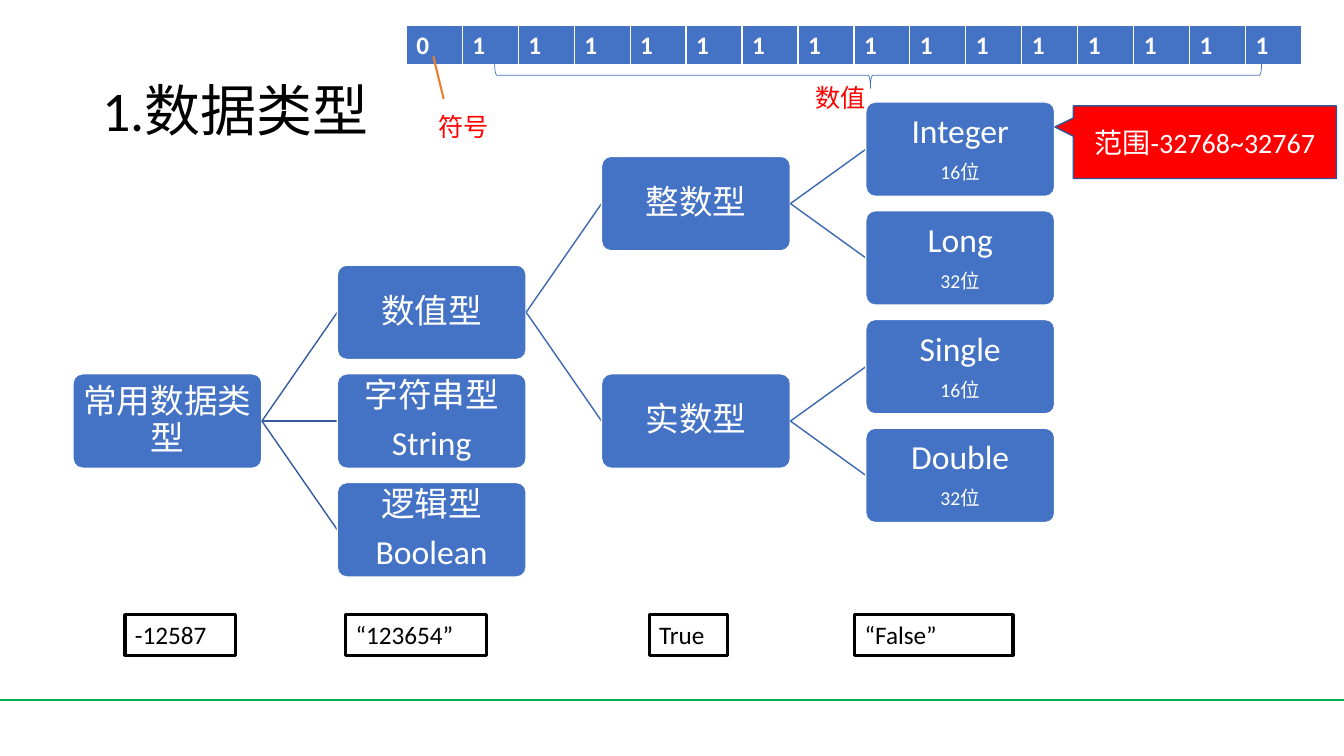
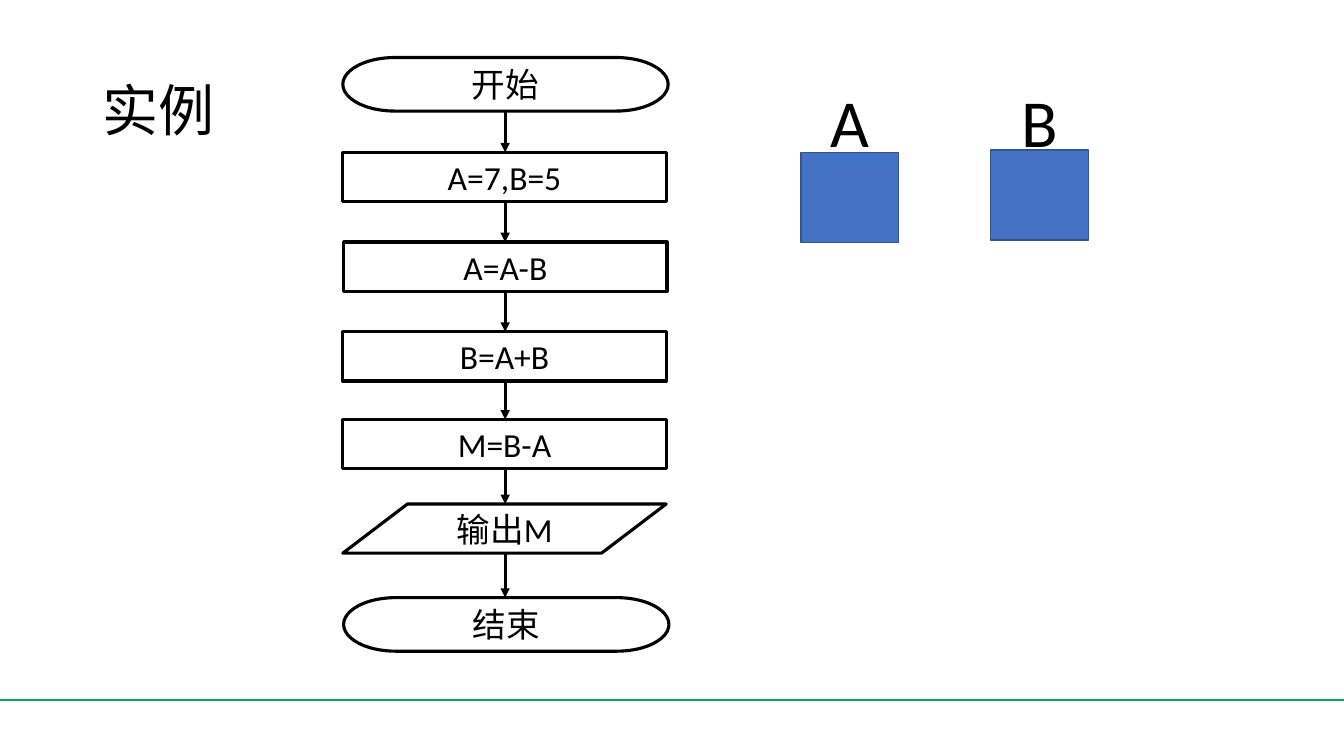
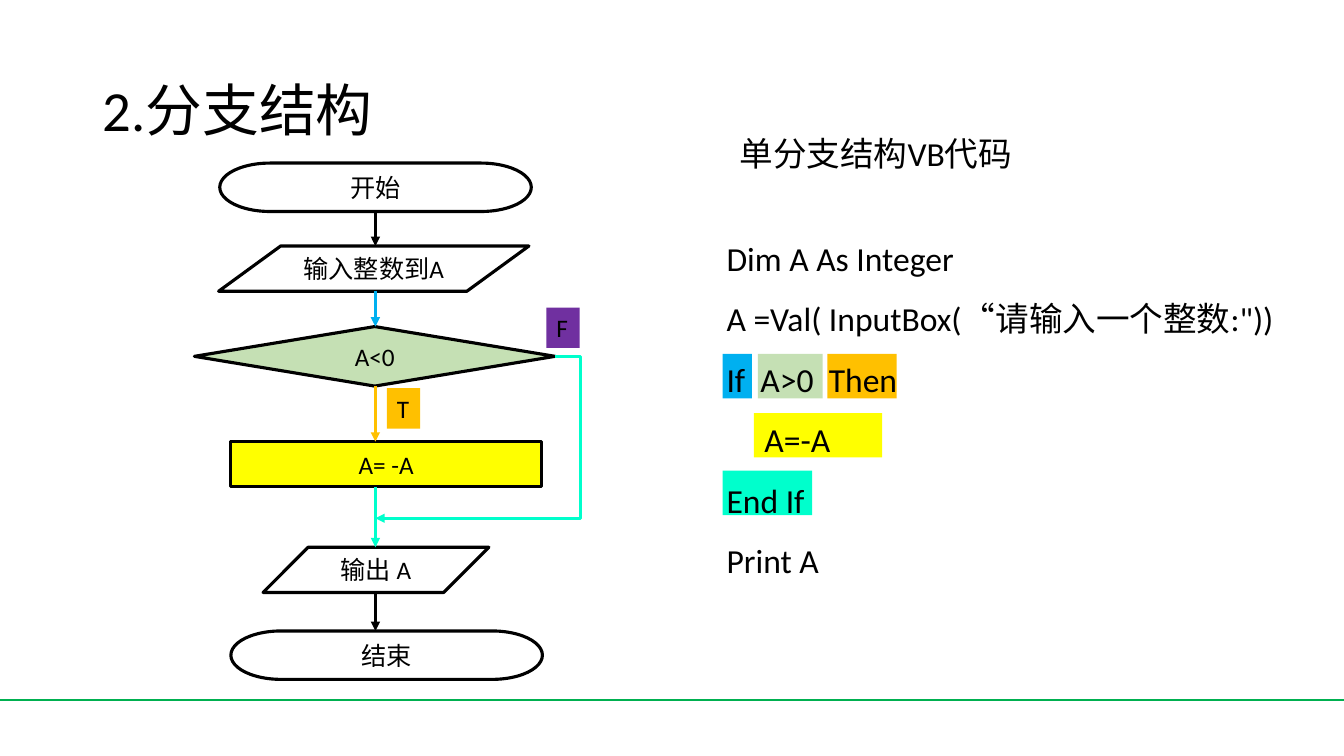
import lxml.etree
import pptx
import pptx.dml.color
import pptx.enum.shapes
import pptx.enum.text
import pptx.oxml.ns
import pptx.util

FONT = "Calibri"
BLACK, WHITE, RED, BLUE = "000000", "FFFFFF", "FF0000", "4472C4"
DARK_BLUE, GREEN, ORANGE = "325491", "00B050", "ED7D31"
SKY, AMBER, LIME, YELLOW, AQUA, PURPLE = "00B0F0", "FFC000", "C5E0B4", "FFFF00", "00FFCC", "7030A0"
SLIDE_WIDTH, SLIDE_HEIGHT = 33.87, 19.05
TITLE_PLACE = (2.33, 1.02, 29.2, 3.68)
FOOTER_Y = 17.63

TYPE_TREE = {
    "root": (None, 0, 5, "常用数据类型"),
    "number": ("root", 1, 3, "数值型"),
    "string": ("root", 1, 5, "字符串型\nString"),
    "logic": ("root", 1, 7, "逻辑型\nBoolean"),
    "whole": ("number", 2, 1, "整数型"),
    "real": ("number", 2, 5, "实数型"),
    "integer": ("whole", 3, 0, "Integer\n16位"),
    "long": ("whole", 3, 2, "Long\n32位"),
    "single": ("real", 3, 4, "Single\n16位"),
    "double": ("real", 3, 6, "Double\n32位"),
}
TREE_LEFT, TREE_TOP, LEVEL_PITCH, ROW_PITCH = 1.84, 2.57, 6.66, 1.37
NODE_WIDTH, NODE_HEIGHT = 4.76, 2.38
LEAF_LEVEL = 3

BITS = "0" + "1" * 15
BIT_WIDTH, BIT_HEIGHT = 1.41, 0.94
EXAMPLES = [("-12587", 3.15, 2.79), ("“123654”", 8.71, 3.56),
            ("True", 16.36, 1.98), ("“False”", 21.54, 3.99)]
BIT_LABELS = [("符号", 10.8, 2.67), ("数值", 20.29, 1.96)]

TERMINATOR, PROCESS = "FLOWCHART_TERMINATOR", "FLOWCHART_PROCESS"
DATA, DECISION = "FLOWCHART_DATA", "FLOWCHART_DECISION"

SWAP_STEPS = [
    (TERMINATOR, "开始", (8.64, 1.45, 8.2, 1.35), None, BLACK),
    (PROCESS, "A=7,B=5", (8.64, 3.84, 8.15, 1.24), WHITE, BLACK),
    (PROCESS, "A=A-B", (8.66, 6.1, 8.15, 1.24), WHITE, BLACK),
    (PROCESS, "B=A+B", (8.64, 8.36, 8.15, 1.24), WHITE, BLACK),
    (PROCESS, "M=B-A", (8.64, 10.57, 8.15, 1.24), WHITE, BLACK),
    (DATA, "输出M", (8.64, 12.7, 8.15, 1.24), WHITE, BLACK),
    (TERMINATOR, "结束", (8.66, 15.06, 8.2, 1.35), None, None),
]
VARIABLES = [("A", 20.19, 3.84), ("B", 24.97, 3.78)]

BRANCH_STEPS = [
    (TERMINATOR, "开始", (5.54, 4.11, 7.85, 1.22), None, BLACK),
    (DATA, "输入整数到A", (5.51, 6.2, 7.82, 1.14), WHITE, SKY),
    (DECISION, "A<0", (4.9, 8.23, 9.09, 1.5), LIME, AMBER),
    (PROCESS, "A= -A", (5.82, 11.13, 7.82, 1.14), YELLOW, AQUA),
    (DATA, "输出 A", (6.63, 13.79, 5.69, 1.14), WHITE, BLACK),
    (TERMINATOR, "结束", (5.82, 15.9, 7.85, 1.22), None, None),
]
OUTCOMES = [("T", 9.75, 9.78, AMBER), ("F", 13.77, 7.75, PURPLE)]
HIGHLIGHTS = [(18.21, 11.86, 2.26, AQUA), (19, 10.41, 3.23, YELLOW),
              (20.85, 8.92, 1.75, AMBER), (19.1, 8.92, 1.63, LIME), (18.21, 8.92, 0.74, SKY)]
CODE = """Dim A As Integer
A =Val( InputBox(“请输入一个整数:"))
If  A>0  Then
     A=-A
End If
Print A"""


def rgb(hex_color):
    return pptx.dml.color.RGBColor.from_string(hex_color)


def lengths(*values):
    return [pptx.util.Cm(value) for value in values]


def write(frame, text, size=24, color=BLACK, bold=False, align="LEFT", spacing=None, after=None,
          last_size=None):
    lines = text.split("\n")
    for number, content in enumerate(lines):
        paragraph = frame.add_paragraph() if number else frame.paragraphs[0]
        paragraph.alignment = getattr(pptx.enum.text.PP_ALIGN, align)
        if spacing:
            paragraph.line_spacing = spacing
        if after:
            paragraph.space_after = pptx.util.Pt(after)
        run = paragraph.add_run()
        run.text = content
        is_last = number == len(lines) - 1
        run.font.size = pptx.util.Pt(last_size if last_size and is_last else size)
        run.font.name = FONT
        run.font.bold = bold
        run.font.color.rgb = rgb(color)


def box(slide, kind, place, text="", fill=None, line=None, weight=2.25, anchor="MIDDLE", inset=None,
        **text_format):
    if kind:
        preset = getattr(pptx.enum.shapes.MSO_SHAPE, kind)
        shape = slide.shapes.add_shape(preset, *lengths(*place))
        shape.shadow.inherit = False
    else:
        shape = slide.shapes.add_textbox(*lengths(*place))
    if fill:
        shape.fill.solid()
        shape.fill.fore_color.rgb = rgb(fill)
    else:
        shape.fill.background()
    if line:
        shape.line.color.rgb = rgb(line)
        shape.line.width = pptx.util.Pt(weight)
    else:
        shape.line.fill.background()
    if text:
        frame = shape.text_frame
        frame.word_wrap = True
        frame.vertical_anchor = getattr(pptx.enum.text.MSO_ANCHOR, anchor)
        if inset is not None:
            frame.margin_left = frame.margin_right = pptx.util.Cm(inset)
            frame.margin_top = frame.margin_bottom = pptx.util.Cm(inset)
        write(frame, text, **text_format)
    return shape


def link(slide, start, end, color, weight=2.25, arrow=False, bend=None):
    kind = pptx.enum.shapes.MSO_CONNECTOR.STRAIGHT if bend is None else pptx.enum.shapes.MSO_CONNECTOR.ELBOW
    connector = slide.shapes.add_connector(kind, *lengths(*start, *end))
    connector.line.color.rgb = rgb(color)
    connector.line.width = pptx.util.Pt(weight)
    qn = pptx.oxml.ns.qn
    properties = connector.element.spPr
    if arrow:
        lxml.etree.SubElement(properties.find(qn("a:ln")), qn("a:tailEnd"), type="triangle")
    if bend is not None:
        adjustments = properties.find(qn("a:prstGeom")).find(qn("a:avLst"))
        lxml.etree.SubElement(adjustments, qn("a:gd"), name="adj1", fmla=f"val {round(bend * 100000)}")
    lxml.etree.SubElement(properties, qn("a:effectLst"))
    return connector


def titled_slide(deck, title, size=40):
    slide = deck.slides.add_slide(deck.slide_layouts[5])
    heading = slide.shapes.title
    heading.left, heading.top, heading.width, heading.height = lengths(*TITLE_PLACE)
    heading.text_frame.vertical_anchor = pptx.enum.text.MSO_ANCHOR.MIDDLE
    write(heading.text_frame, title, size=size, spacing=0.9)
    return slide


def add_footer_rule(deck, slide):
    rule = link(slide, (0, FOOTER_Y), (SLIDE_WIDTH, FOOTER_Y), GREEN, 1.5)
    deck.slide_layouts[5].shapes.element.append(rule.element)


def flowchart(slide, steps, axis, size):
    for kind, text, place, fill, _ in steps:
        box(slide, kind, place, text, fill=fill, line=BLACK, size=size, align="CENTER")
    for step, following in zip(steps, steps[1:]):
        _, top, _, height = step[2]
        link(slide, (axis, top + height), (axis, following[2][1]), step[4], arrow=True)


def type_tree(slide):
    def corner(name):
        _, level, row, _ = TYPE_TREE[name]
        return TREE_LEFT + level * LEVEL_PITCH, TREE_TOP + row * ROW_PITCH

    for name, (parent, level, _, text) in TYPE_TREE.items():
        left, top = corner(name)
        if parent:
            parent_left, parent_top = corner(parent)
            link(slide, (parent_left + NODE_WIDTH, parent_top + NODE_HEIGHT / 2),
                 (left, top + NODE_HEIGHT / 2), "365B9D" if level == 1 else "3E67B2", 1)
        node = box(slide, "ROUNDED_RECTANGLE", (left, top, NODE_WIDTH, NODE_HEIGHT), text, fill=BLUE,
                   line=WHITE, weight=1, inset=0.12, color=WHITE, align="CENTER", spacing=0.9,
                   after=8.4, last_size=14 if level == LEAF_LEVEL else None)
        node.adjustments[0] = 0.1


def bit_table(slide):
    qn = pptx.oxml.ns.qn
    table = slide.shapes.add_table(
        1, len(BITS), *lengths(10.24, 0.64, BIT_WIDTH * len(BITS), BIT_HEIGHT)).table
    table.horz_banding = False
    for column, bit in enumerate(BITS):
        table.columns[column].width = pptx.util.Cm(BIT_WIDTH)
        cell = table.cell(0, column)
        write(cell.text_frame, bit, size=18, color=WHITE, bold=True)
        properties = cell._tc.get_or_add_tcPr()
        for side, points in (("L", 1), ("R", 1), ("T", 1), ("B", 3)):
            border = lxml.etree.SubElement(properties, qn(f"a:ln{side}"), w=str(pptx.util.Pt(points)))
            paint = lxml.etree.SubElement(border, qn("a:solidFill"))
            lxml.etree.SubElement(paint, qn("a:srgbClr"), val=WHITE)
        cell.fill.solid()
        cell.fill.fore_color.rgb = rgb(BLUE)


def data_types(deck):
    slide = titled_slide(deck, "1.数据类型")
    add_footer_rule(deck, slide)
    type_tree(slide)
    value_range = box(slide, "RECTANGULAR_CALLOUT", (27.05, 2.67, 6.63, 1.83), "范围-32768~32767",
                      fill=RED, line=DARK_BLUE, weight=1, size=20, color=WHITE, align="CENTER")
    value_range.adjustments[0], value_range.adjustments[1] = -0.57, -0.21
    for text, left, width in EXAMPLES:
        box(slide, None, (left, 15.49, width, 1.02), text, line=BLACK, anchor="TOP", size=18)
    bit_table(slide)
    link(slide, (10.92, 1.42), (11.18, 2.49), ORANGE, 1.5)
    for text, left, top in BIT_LABELS:
        box(slide, None, (left, top, 2.03, 1.02), text, anchor="TOP", size=18, color=RED)
    brace = box(slide, "LEFT_BRACE", (21.8, -7.77, 0.66, 19.33), line=BLUE, weight=0.5)
    brace.rotation = 270
    brace.adjustments[0], brace.adjustments[1] = 0.08, 0.49


def swap_example(deck):
    slide = titled_slide(deck, "实例")
    flowchart(slide, SWAP_STEPS, 12.73, 24)
    for name, left, top in VARIABLES:
        box(slide, "RECTANGLE", (left, top, 2.46, 2.27), fill=BLUE, line=DARK_BLUE, weight=1)
        box(slide, None, (left, 1.9, 2.46, 2.31), name, anchor="TOP", size=48, align="CENTER")


def branch_structure(deck):
    slide = titled_slide(deck, "2.分支结构", 40.5)
    for left, top, width, color in HIGHLIGHTS:
        box(slide, "RECTANGLE", (left, top, width, 1.12), fill=color)
    box(slide, None, (18.39, 3.33, 10.57, 1.27), "单分支结构VB代码", anchor="TOP", spacing=0.9)
    box(slide, None, (18.06, 5.36, 15.6, 9.5), CODE, anchor="TOP", spacing=1.5)
    flowchart(slide, BRANCH_STEPS, 9.46, 18)
    link(slide, (13.99, 8.98), (9.46, 13.06), AQUA, arrow=True, bend=-0.14)
    for text, left, top, color in OUTCOMES:
        box(slide, "RECTANGLE", (left, top, 0.84, 1.02), text, fill=color, anchor="TOP", size=18)


def main():
    deck = pptx.Presentation()
    deck.slide_width, deck.slide_height = lengths(SLIDE_WIDTH, SLIDE_HEIGHT)
    data_types(deck)
    swap_example(deck)
    branch_structure(deck)
    deck.save("out.pptx")


if __name__ == "__main__":
    main()
